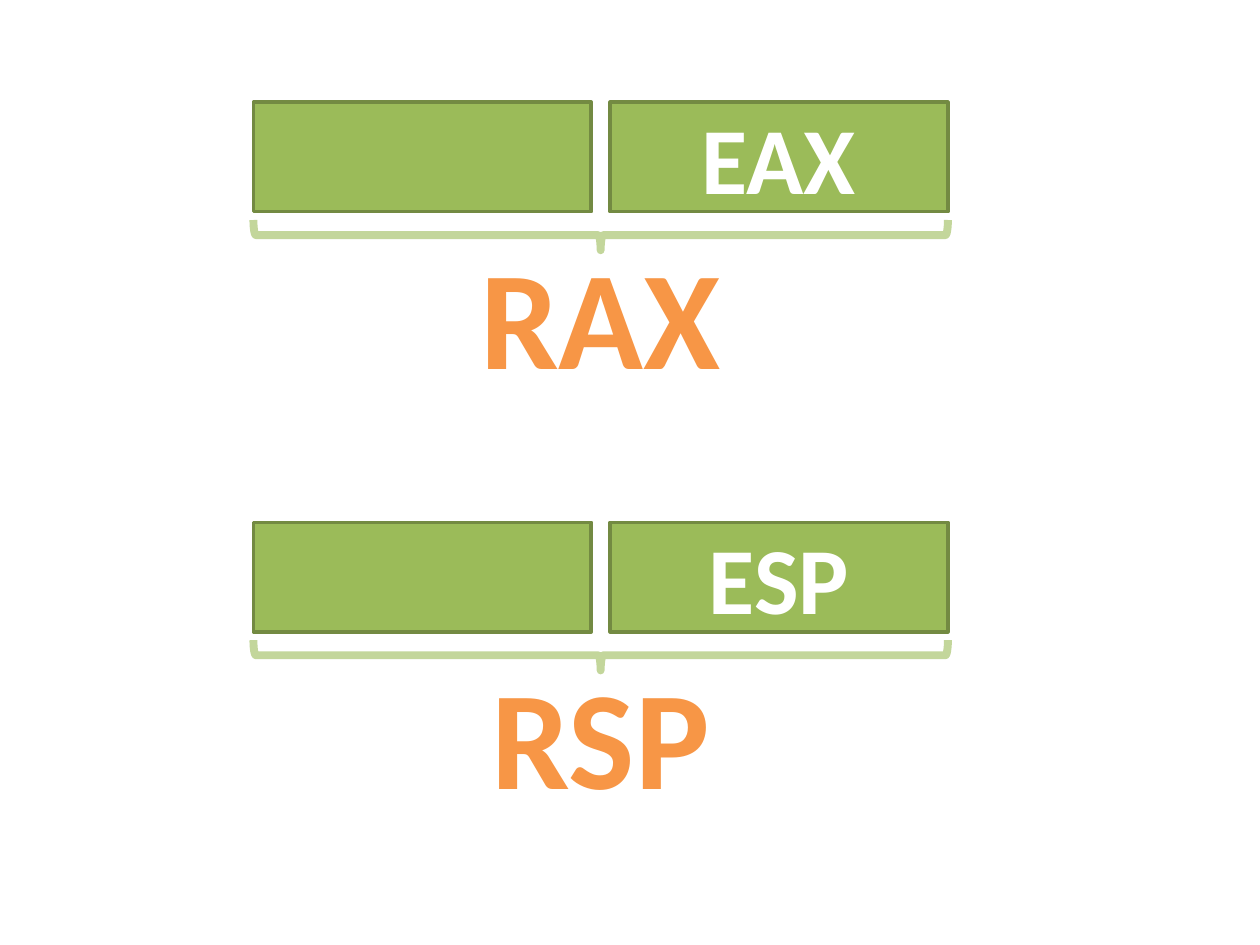
import pptx
import pptx.util
import pptx.dml.color
import pptx.enum.shapes
import pptx.enum.text

Cm = pptx.util.Cm
Pt = pptx.util.Pt
SHAPES = pptx.enum.shapes.MSO_SHAPE

COLORS = {
    "half": "9BBB59",
    "half_edge": "738A42",
    "brace": "C3D69B",
    "half_text": "FFFFFF",
    "register": "F79646",
}


def color(key):
    return pptx.dml.color.RGBColor.from_string(COLORS[key])


def write(frame, text, size, key):
    paragraph = frame.paragraphs[0]
    paragraph.text = text
    paragraph.alignment = pptx.enum.text.PP_ALIGN.CENTER
    font = paragraph.font
    font.name, font.size, font.bold = "Calibri", Pt(size), True
    font.color.rgb = color(key)


def add_half(slide, left, top, width, height, name):
    half = slide.shapes.add_shape(
        SHAPES.RECTANGLE, Cm(left), Cm(top), Cm(width), Cm(height))
    half.shadow.inherit = False
    half.fill.solid()
    half.fill.fore_color.rgb = color("half")
    half.line.color.rgb = color("half_edge")
    half.line.width = Pt(2)
    if name:
        half.text_frame.vertical_anchor = pptx.enum.text.MSO_ANCHOR.MIDDLE
        write(half.text_frame, name, 54, "half_text")


def add_register(slide, left, top, width, name, low_name, name_width):
    """Two halves, a brace below them and the name of the whole register."""
    gap, half_height = 0.38, 2.21
    half_width = (width - gap) / 2
    center = left + width / 2

    # Upper and lower half
    for column, half_name in enumerate(("", low_name)):
        add_half(slide, left + column * (half_width + gap), top,
                 half_width, half_height, half_name)

    # Name of the whole register
    label = slide.shapes.add_textbox(
        Cm(center - name_width / 2), Cm(top + 2.39), Cm(name_width), Cm(3.68))
    label.text_frame.word_wrap = False
    label.text_frame.auto_size = pptx.enum.text.MSO_AUTO_SIZE.SHAPE_TO_FIT_TEXT
    label.text_frame.vertical_anchor = pptx.enum.text.MSO_ANCHOR.BOTTOM
    write(label.text_frame, name, 80, "register")

    # Brace, turned to open upwards
    depth, brace_middle = 0.61, top + 2.68
    brace = slide.shapes.add_shape(
        SHAPES.LEFT_BRACE, Cm(center - depth / 2), Cm(brace_middle - width / 2),
        Cm(depth), Cm(width))
    brace.rotation = 270
    brace.shadow.inherit = False
    brace.fill.background()
    brace.line.color.rgb = color("brace")
    brace.line.width = Pt(4.5)


presentation = pptx.Presentation()
presentation.slide_width, presentation.slide_height = Cm(25.4), Cm(19.05)
registers_slide = presentation.slides.add_slide(presentation.slide_layouts[6])

registers = [("RAX", "EAX", 5.41), ("RSP", "ESP", 4.95)]
for row, (name, low_name, name_width) in enumerate(registers):
    add_register(registers_slide, 5.11, 2.06 + row * 8.47, 14,
                 name, low_name, name_width)

presentation.save("out.pptx")
